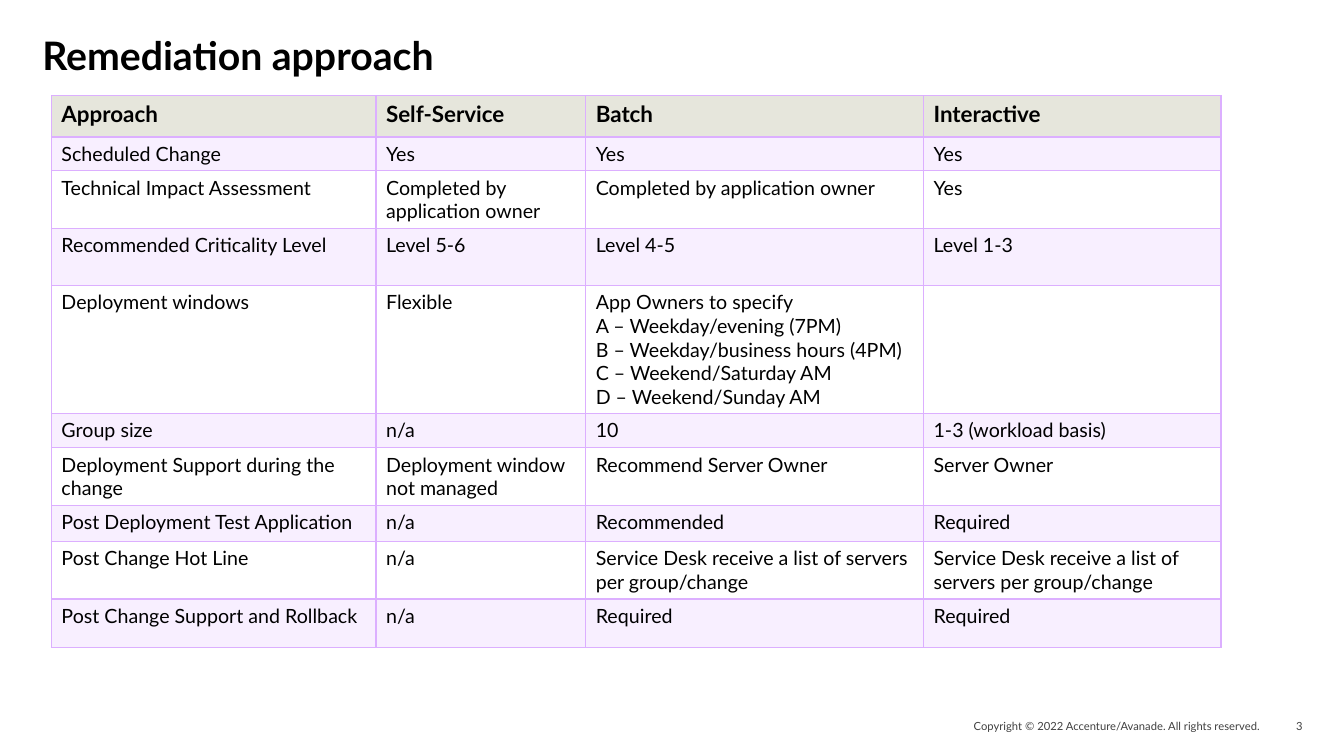
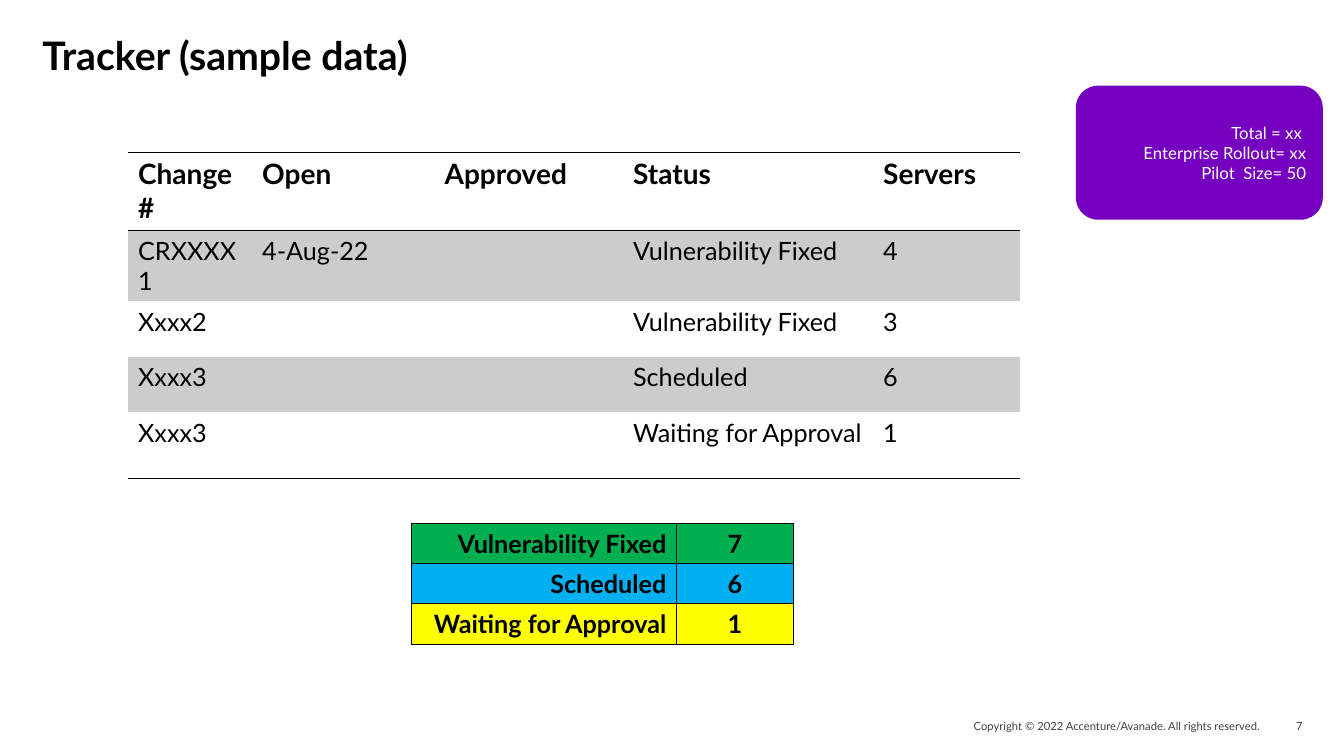
"""Build the remediation approach and change tracker slides."""
from lxml import etree
from pptx import Presentation
from pptx.dml.color import RGBColor
from pptx.enum.shapes import MSO_SHAPE
from pptx.enum.text import MSO_ANCHOR, PP_ALIGN
from pptx.oxml.ns import qn
from pptx.util import Inches, Pt

LEFT, CENTER, RIGHT = PP_ALIGN.LEFT, PP_ALIGN.CENTER, PP_ALIGN.RIGHT
TOP, MIDDLE = MSO_ANCHOR.TOP, MSO_ANCHOR.MIDDLE
ROUNDED = MSO_SHAPE.ROUNDED_RECTANGLE

FONT = "Lato"
BLACK, WHITE, FOOTER_GREY = "000000", "FFFFFF", "404040"
HEADER_SAND, LILAC_LINE, LILAC_BAND = "E6E6DC", "DCAFFF", "F8EFFF"
GREY_BAND, PURPLE = "CCCCCC", "7500C0"
NO_STYLE = "{2D5ABB26-0587-4C30-8999-92F81FD0307C}"

COPYRIGHT = "Copyright © 2022 Accenture/Avanade. All rights reserved."

APPROACHES = [
    ("Approach", "Self-Service", "Batch", "Interactive"),
    ("Scheduled Change", "Yes", "Yes", "Yes"),
    ("Technical Impact Assessment", "Completed by application owner",
     "Completed by application owner", "Yes"),
    ("Recommended Criticality Level", "Level 5-6", "Level 4-5", "Level 1-3"),
    ("Deployment windows", "Flexible",
     "App Owners to specify\nA – Weekday/evening (7PM)\n"
     "B – Weekday/business hours (4PM)\nC – Weekend/Saturday AM\n"
     "D – Weekend/Sunday AM", ""),
    ("Group size", "n/a", "10", "1-3 (workload basis)"),
    ("Deployment Support during the change", "Deployment window not managed",
     "Recommend Server Owner", "Server Owner"),
    ("Post Deployment Test Application", "n/a", "Recommended", "Required"),
    ("Post Change Hot Line", "n/a",
     "Service Desk receive a list of servers per group/change",
     "Service Desk receive a list of servers per group/change"),
    ("Post Change Support and Rollback", "n/a", "Required", "Required"),
]
APPROACH_COLS = (3.22, 2.08, 3.35, 2.95)
APPROACH_ROWS = (0.41, 0.33, 0.57, 0.57, 1.27, 0.34, 0.57, 0.36, 0.57, 0.48)

CHANGES = [
    ("Change#", "Open", "Approved", "Status", "Servers"),
    ("CRXXXX1", "4-Aug-22", "", "Vulnerability Fixed", "4"),
    ("Xxxx2", "", "", "Vulnerability Fixed", "3"),
    ("Xxxx3", "", "", "Scheduled", "6"),
    ("Xxxx3", "", "", "Waiting for Approval", "1"),
]
CHANGE_COLS = (1.23, 1.81, 1.87, 2.48, 1.46)
CHANGE_ROWS = (0.78, 0.7, 0.55, 0.55, 0.66)

STATUS_TOTALS = [("Vulnerability Fixed", "7"), ("Scheduled", "6"),
                 ("Waiting for Approval", "1")]
STATUS_COLORS = ("00B050", "00B0F0", "FFFF00")
ROLLOUT = "Total = xx \nEnterprise Rollout= xx\nPilot  Size= 50"


def rgb(color):
    """Turn a hex string into a colour."""
    return RGBColor.from_string(color)


def write(frame, text, size, color=BLACK, bold=False, align=LEFT):
    """Write each line of the text as one paragraph."""
    for index, line in enumerate(text.split("\n")):
        paragraph = frame.add_paragraph() if index else frame.paragraphs[0]
        paragraph.alignment = align
        paragraph.font.size = Pt(size)
        if line:
            run = paragraph.add_run()
            run.text = line
            run.font.name, run.font.size, run.font.bold = FONT, Pt(size), bold
            run.font.color.rgb = rgb(color)


def add_label(slide, box, text, size, anchor=TOP, **style):
    """Add a text box without margins."""
    frame = slide.shapes.add_textbox(*map(Inches, box)).text_frame
    frame.word_wrap = True
    frame.vertical_anchor = anchor
    frame.margin_left = frame.margin_top = 0
    frame.margin_right = frame.margin_bottom = 0
    write(frame, text, size, **style)
    return frame


def add_page(deck, title, number):
    """Add a blank slide with the shared title and footer."""
    slide = deck.slides.add_slide(deck.slide_layouts[6])
    for left, width, text in ((9.1, 3.4, COPYRIGHT), (12.5, 0.42, number)):
        add_label(slide, (left, 7.09, width, 0.23), text, 8, MIDDLE,
                  color=FOOTER_GREY, align=RIGHT)
    heading = add_label(slide, (0.42, 0.4, 12.5, 0.5), title, 28, bold=True)
    heading.paragraphs[0].line_spacing = 0.8
    return slide


def draw_borders(cell, borders):
    """Draw the cell sides given as side, colour and width."""
    properties = cell._tc.get_or_add_tcPr()
    for side in "LRTB":
        if side in borders:
            color, width = borders[side]
            line = etree.SubElement(properties, qn("a:ln" + side), w=str(Pt(width)))
            fill = etree.SubElement(line, qn("a:solidFill"))
            etree.SubElement(fill, qn("a:srgbClr"), val=color)


def add_grid(slide, corner, rows, widths, heights, look):
    """Add a table whose cell style comes from look(row, column)."""
    box = (*corner, sum(widths), sum(heights))
    table = slide.shapes.add_table(len(rows), len(widths), *map(Inches, box)).table
    table.horz_banding = table.first_row = False
    table._tbl.tblPr.find(qn("a:tableStyleId")).text = NO_STYLE
    for column, width in zip(table.columns, widths):
        column.width = Inches(width)
    for r, (values, height) in enumerate(zip(rows, heights)):
        table.rows[r].height = Inches(height)
        for c, value in enumerate(values):
            cell = table.cell(r, c)
            fill, borders, style = look(r, c)
            draw_borders(cell, borders)
            if fill:
                cell.fill.solid()
                cell.fill.fore_color.rgb = rgb(fill)
            write(cell.text_frame, value, **style)


def approach_look(row, column):
    """Style the approach table: sand header, lilac odd rows."""
    borders = dict.fromkeys("LRTB", (LILAC_LINE, 1))
    if row == 0:
        return HEADER_SAND, borders | {"B": (LILAC_LINE, 2)}, {"size": 16, "bold": True}
    if row == 1:
        borders["T"] = (LILAC_LINE, 2)
    return LILAC_BAND if row % 2 else None, borders, {"size": 14}


def change_look(row, column):
    """Style the change table: ruled header and end, grey odd rows."""
    rule = (BLACK, 1)
    if row == 0:
        return None, {"T": rule, "B": rule}, {"size": 20, "bold": True}
    borders = {"B": rule} if row == len(CHANGES) - 1 else {}
    return GREY_BAND if row % 2 else None, borders, {"size": 18}


def status_look(row, column):
    """Style the status totals: one colour per row."""
    style = {"size": 18, "bold": True, "align": CENTER if column else RIGHT}
    return STATUS_COLORS[row], dict.fromkeys("LRTB", (BLACK, 1)), style


def add_rollout_card(slide):
    """Add the purple card with the rollout sizes."""
    card = slide.shapes.add_shape(ROUNDED, *map(Inches, (10.67, 0.85, 2.45, 1.33)))
    card.shadow.inherit = False
    card.fill.solid()
    card.fill.fore_color.rgb = rgb(PURPLE)
    card.line.fill.background()
    frame = card.text_frame
    frame.word_wrap = True
    frame.vertical_anchor = MIDDLE
    frame.margin_left = frame.margin_right = Inches(0.1)
    frame.margin_top = frame.margin_bottom = Inches(0.1)
    write(frame, ROLLOUT, 12, WHITE, align=RIGHT)


def main():
    """Build and save the deck."""
    deck = Presentation()
    deck.slide_width, deck.slide_height = Inches(13.33), Inches(7.5)

    approach = add_page(deck, "Remediation approach", "3")
    add_grid(approach, (0.51, 0.95), APPROACHES, APPROACH_COLS, APPROACH_ROWS,
             approach_look)

    tracker = add_page(deck, "Tracker (sample data)", "7")
    add_grid(tracker, (1.27, 1.51), CHANGES, CHANGE_COLS, CHANGE_ROWS, change_look)
    add_grid(tracker, (4.08, 5.19), STATUS_TOTALS, (2.63, 1.16),
             [0.4] * len(STATUS_TOTALS), status_look)
    add_rollout_card(tracker)

    deck.save("out.pptx")


if __name__ == "__main__":
    main()
